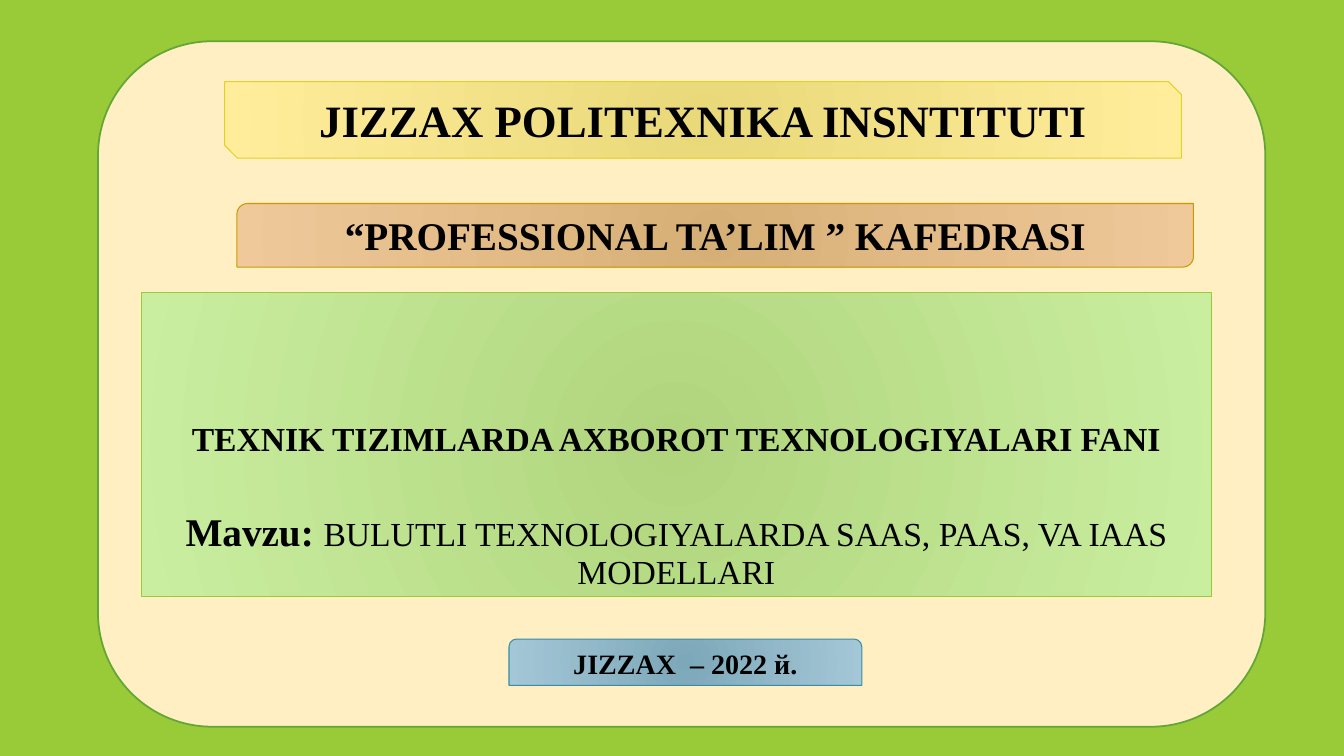
from lxml.etree import SubElement
from pptx import Presentation
from pptx.dml.color import RGBColor
from pptx.enum.shapes import MSO_SHAPE
from pptx.enum.text import MSO_ANCHOR, MSO_AUTO_SIZE, PP_ALIGN
from pptx.oxml.ns import qn
from pptx.util import Pt

FONT = "Times New Roman"
BANNERS = [
    (MSO_SHAPE.SNIP_2_DIAG_RECTANGLE, (90.5, 28.8, 683.3, 54.7),
     ("EAD979", "FFED9C"), "E6D024", "JIZZAX POLITEXNIKA INSNTITUTI", 32),
    (MSO_SHAPE.ROUND_2_DIAG_RECTANGLE, (99.2, 115.9, 683.3, 45.4),
     ("D6AF76", "F0C99B"), "CC9700", "“PROFESSIONAL TA’LIM ” KAFEDRASI", 28),
    (MSO_SHAPE.ROUND_2_SAME_RECTANGLE, (293.6, 427, 252, 33.1),
     ("7DA8B9", "A4C7D7"), "378DA6", "JIZZAX  – 2022 й.", 20),
]


def color(value):
    return RGBColor.from_string(value)


def apply(target, values):
    for name, value in values.items():
        setattr(target, name, value)


def set_outline(shape, value, width):
    shape.line.color.rgb = color(value)
    shape.line.width = Pt(width)


def set_glow(shape, stops):
    shape.fill.gradient()
    for stop, value in zip(shape.fill.gradient_stops, stops):
        stop.color.rgb = color(value)
    gradient = shape.element.spPr.find(qn("a:gradFill"))
    gradient.remove(gradient.find(qn("a:lin")))
    circle = SubElement(gradient, qn("a:path"), path="circle")
    SubElement(circle, qn("a:fillToRect"), dict.fromkeys("ltrb", "100000"))


def add_span(para, text, size, bold=True):
    span = para.add_run()
    span.text = text
    apply(span.font, {"name": FONT, "size": Pt(size), "bold": bold})
    span.font.color.rgb = color("000000")


def add_panel(page, box):
    panel = page.shapes.add_shape(MSO_SHAPE.ROUNDED_RECTANGLE, *map(Pt, box))
    panel.shadow.inherit = False
    panel.fill.solid()
    panel.fill.fore_color.rgb = color("FFEFC2")
    set_outline(panel, "63A537", 1.25)
    return panel


def place_title(page, panel, box):
    title = page.shapes.title
    panel.element.addnext(title.element)
    left, top, width, height = map(Pt, box)
    apply(title, {"left": panel.left + left, "top": panel.top + top,
                  "width": width, "height": height})
    outline = SubElement(title.element.spPr, qn("a:prstGeom"), prst="roundRect")
    SubElement(outline, qn("a:avLst"))
    set_glow(title, ("B0D57D", "CAEEA0"))
    set_outline(title, "99CB38", 0.75)
    frame = title.text_frame
    apply(frame, {"word_wrap": True, "auto_size": MSO_AUTO_SIZE.NONE,
                  "vertical_anchor": MSO_ANCHOR.BOTTOM})
    course, topic = frame.paragraphs[0], frame.add_paragraph()
    for para in (course, topic):
        apply(para, {"alignment": PP_ALIGN.CENTER, "line_spacing": 0.9})
    topic.space_before = Pt(39)
    add_span(course, "TEXNIK TIZIMLARDA AXBOROT TEXNOLOGIYALARI FANI", 24)
    add_span(topic, "Mavzu: ", 28)
    add_span(topic, "BULUTLI TEХNOLOGIYALARDA SAAS, PAAS, VA IAAS MODELLARI", 24, False)


def add_banner(page, panel, kind, box, stops, outline, text, size):
    left, top, width, height = map(Pt, box)
    banner = page.shapes.add_shape(kind, panel.left + left, panel.top + top, width, height)
    banner.shadow.inherit = False
    set_glow(banner, stops)
    set_outline(banner, outline, 0.75)
    apply(banner.text_frame, {"word_wrap": True, "vertical_anchor": MSO_ANCHOR.MIDDLE})
    para = banner.text_frame.paragraphs[0]
    para.alignment = PP_ALIGN.CENTER
    add_span(para, text, size)


def build_cover(deck):
    page = deck.slides.add_slide(deck.slide_layouts[5])
    page.background.fill.solid()
    page.background.fill.fore_color.rgb = color("99CB38")
    panel = add_panel(page, (70, 29.5, 833.8, 489.6))
    place_title(page, panel, (30.8, 179.3, 764.6, 217.4))
    for banner in BANNERS:
        add_banner(page, panel, *banner)


def main():
    deck = Presentation()
    apply(deck, {"slide_width": Pt(960), "slide_height": Pt(540)})
    build_cover(deck)
    deck.save("out.pptx")


if __name__ == "__main__":
    main()
